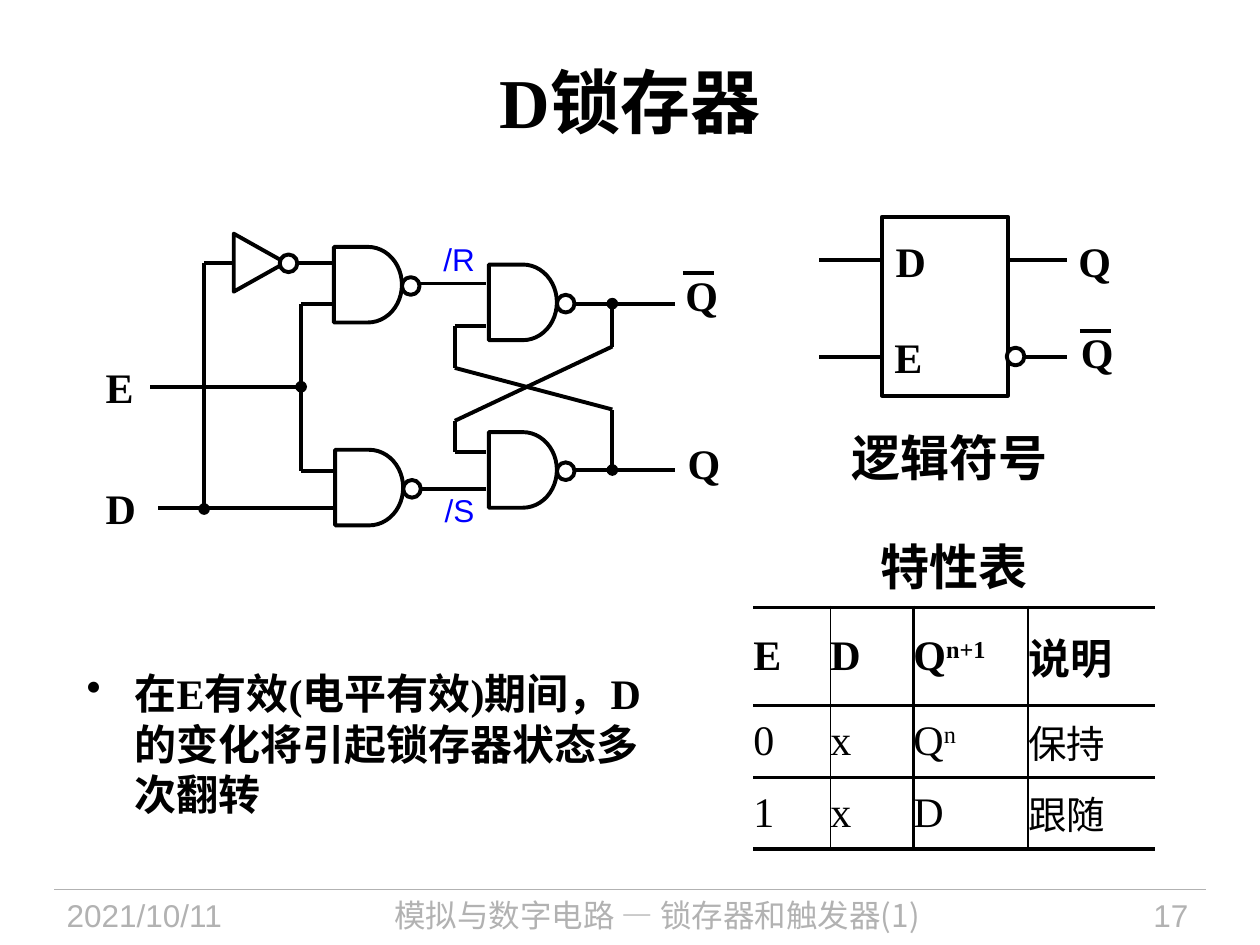
from lxml.etree import SubElement
from pptx import Presentation
from pptx.dml.color import RGBColor
from pptx.enum.shapes import MSO_CONNECTOR, MSO_SHAPE
from pptx.enum.text import MSO_ANCHOR, MSO_AUTO_SIZE, PP_ALIGN
from pptx.oxml.ns import qn
from pptx.util import Inches, Pt


class Theme:
    black, white = RGBColor(0, 0, 0), RGBColor(255, 255, 255)
    blue, gray = RGBColor(0, 0, 255), RGBColor(0xB2, 0xB2, 0xB2)
    serif, sans, cjk = "Times New Roman", "Arial", "Noto Sans CJK SC"
    title, head, body, cell, small = 40, 28, 24, 22, 18
    thick, thin, rule = 2.25, 1, 0.75


LEFT, MID, RIGHT = PP_ALIGN.LEFT, PP_ALIGN.CENTER, PP_ALIGN.RIGHT

FOOT = [
    ("2021/10/11", 0.43, 1.88, LEFT, Theme.sans),
    ("模拟与数字电路 — 锁存器和触发器(1)", 2.4, 5.63, MID, Theme.cjk),
    ("17", 8.2, 1.33, RIGHT, Theme.sans),
]
LABELS = [
    ("D", 0.74, 3.78), ("E", 0.74, 2.82), ("Q", 5.34, 2.09), ("Q", 5.36, 3.42),
    ("D", 7.01, 1.82), ("E", 7, 2.58), ("Q", 8.46, 1.82), ("Q", 8.48, 2.54),
]
SIGNALS = [("/S", 3.43, 3.85), ("/R", 3.42, 1.86)]
NOTE = "在E有效(电平有效)期间，D的变化将引起锁存器状态多次翻转"

WIRES = [
    [(4.44, 2.41), (5.36, 2.41)],
    [(4.44, 3.73), (5.36, 3.73)],
    [(2.66, 2.41), (2.39, 2.41), (2.39, 3.74), (2.67, 3.74)],
    [(2.67, 4.03), (1.25, 4.03)],
    [(3.03, 2.25), (3.86, 2.25)],
    [(3.03, 3.88), (3.86, 3.88)],
    [(2.71, 2.09), (1.62, 2.09)],
    [(7, 2.06), (6.5, 2.06)],
    [(7, 2.83), (6.5, 2.83)],
    [(8, 2.06), (8.47, 2.06)],
    [(8.08, 2.83), (8.47, 2.83)],
]
NODES = [
    [(2.39, 3.07), (1.19, 3.07)],
    [(1.62, 4.04), (1.62, 2.09)],
    [(4.86, 2.41), (4.86, 2.75), (3.61, 3.34), (3.61, 3.59), (3.86, 3.59)],
    [(4.86, 3.73), (4.86, 3.25), (3.61, 2.92), (3.61, 2.59), (3.86, 2.59)],
]
BARS = [(5.42, 2.17), (8.57, 2.63)]
GATES = [(3.88, 2.1), (3.88, 3.43), (2.65, 1.96), (2.66, 3.57)]
BUBBLES = [(2.22, 2.02), (7.99, 2.76)]

COLS = [0.61, 0.66, 0.91, 1.01]
ROWS = [0.78, 0.57, 0.57]
EDGES = [0, Theme.thin, Theme.thick, Theme.thin, 0]
CELLS = [
    ["E", "D", ("Q", "n+1"), "说明"],
    ["0", "x", ("Q", "n"), "保持"],
    ["1", "x", "D", "跟随"],
]

deck = Presentation()
deck.slide_width, deck.slide_height = Inches(10), Inches(7.5)
slide = deck.slides.add_slide(deck.slide_layouts[6])
shapes = slide.shapes


def style(para, size, face=Theme.serif, color=Theme.black, bold=False):
    font = para.font
    font.size, font.bold, font.name = Pt(size), bold, face
    font.color.rgb = color
    SubElement(font._element, qn("a:ea"), typeface=Theme.cjk)


def label(text, x, y, w, h, size, wrap=False, align=LEFT, **look):
    box = shapes.add_textbox(Inches(x), Inches(y), Inches(w), Inches(h))
    frame = box.text_frame
    frame.word_wrap = wrap
    if not wrap:
        frame.auto_size = MSO_AUTO_SIZE.SHAPE_TO_FIT_TEXT
    para = frame.paragraphs[0]
    para.add_run().text = text
    para.alignment = align
    style(para, size, **look)
    return frame


def wire(a, b, dot=False, color=Theme.black, width=Theme.thick):
    line = shapes.add_connector(MSO_CONNECTOR.STRAIGHT, *map(Inches, a + b))
    line.line.color.rgb, line.line.width = color, Pt(width)
    props = line._element.spPr
    if dot:
        SubElement(props.find(qn("a:ln")), qn("a:headEnd"), type="oval")
    SubElement(props, qn("a:effectLst"))


def part(kind, x, y, w, h, turn=0):
    item = shapes.add_shape(kind, Inches(x), Inches(y), Inches(w), Inches(h))
    item.shadow.inherit = False
    item.rotation = turn
    item.fill.solid()
    item.fill.fore_color.rgb = Theme.white
    item.line.color.rgb, item.line.width = Theme.black, Pt(Theme.thick)


def bubble(x, y):
    part(MSO_SHAPE.OVAL, x, y, 0.14, 0.14)


def border(cell, sides):
    props = cell._tc.get_or_add_tcPr()
    for tag, width in zip(("a:lnL", "a:lnR", "a:lnT", "a:lnB"), sides):
        line = SubElement(props, qn(tag), w=str(Pt(width)))
        if width:
            fill = SubElement(line, qn("a:solidFill"))
            SubElement(fill, qn("a:srgbClr"), val=str(Theme.black))
        else:
            SubElement(line, qn("a:noFill"))


wire((0.43, 7.06), (9.57, 7.06), color=Theme.gray, width=Theme.rule)
for text, x, w, align, face in FOOT:
    label(text, x, 7.06, w, 0.44, Theme.small, True, align, face=face, color=Theme.gray)

title = label("D锁存器", 0.5, 0.17, 9, 1.25, Theme.title, True, MID, bold=True)
title.vertical_anchor = MSO_ANCHOR.MIDDLE

part(MSO_SHAPE.RECTANGLE, 7, 1.72, 1, 1.42)
for group, dot in ((WIRES, False), (NODES, True)):
    for route in group:
        for i, (a, b) in enumerate(zip(route, route[1:])):
            wire(a, b, dot and i == 0)
for x, y in BARS:
    wire((x, y), (x + 0.25, y))

for x, y in GATES:
    bubble(x + 0.54, y + 0.24)
    part(MSO_SHAPE.FLOWCHART_DELAY, x, y, 0.54, 0.6)
part(MSO_SHAPE.ISOSCELES_TRIANGLE, 1.83, 1.88, 0.46, 0.41, 90)
for x, y in BUBBLES:
    bubble(x, y)

for text, x, y in LABELS:
    label(text, x, y, 0.45, 0.5, Theme.body, bold=True)
for text, x, y in SIGNALS:
    label(text, x, y, 0.45, 0.4, Theme.small, face=Theme.sans, color=Theme.blue)
label("逻辑符号", 6.66, 3.34, 1.87, 0.57, Theme.head, True, face=Theme.sans, bold=True)
label("特性表", 6.89, 4.21, 1.37, 0.57, Theme.head, bold=True)

note = label(NOTE, 0.59, 5.25, 4.76, 1.65, Theme.body, True, bold=True)
props = note.paragraphs[0]._p.get_or_add_pPr()
props.set("marL", str(Inches(0.38)))
props.set("indent", str(Inches(-0.38)))
bullet = props.makeelement(qn("a:buChar"), {"char": "•"})
props.insert(0, bullet)

frame = shapes.add_table(len(ROWS), len(COLS), Inches(5.98), Inches(4.82),
                         Inches(sum(COLS)), Inches(sum(ROWS)))
table = frame.table
table.first_row = table.horz_banding = False
for col, w in zip(table.columns, COLS):
    col.width = Inches(w)
for r, (row, h) in enumerate(zip(CELLS, ROWS)):
    table.rows[r].height = Inches(h)
    for c, text in enumerate(row):
        cell = table.cell(r, c)
        cell.margin_left = cell.margin_right = cell.margin_top = cell.margin_bottom = 0
        cell.vertical_anchor = MSO_ANCHOR.MIDDLE
        border(cell, (EDGES[c], EDGES[c + 1], Theme.thick, Theme.thick))
        cell.fill.background()
        para = cell.text_frame.paragraphs[0]
        base, *power = (text,) if isinstance(text, str) else text
        para.add_run().text = base
        for top in power:
            run = para.add_run()
            run.text = top
            run.font._element.set("baseline", "30000")
        size = Theme.cell if r and c == 3 else Theme.body
        style(para, size, bold=r == 0)

deck.save("out.pptx")
